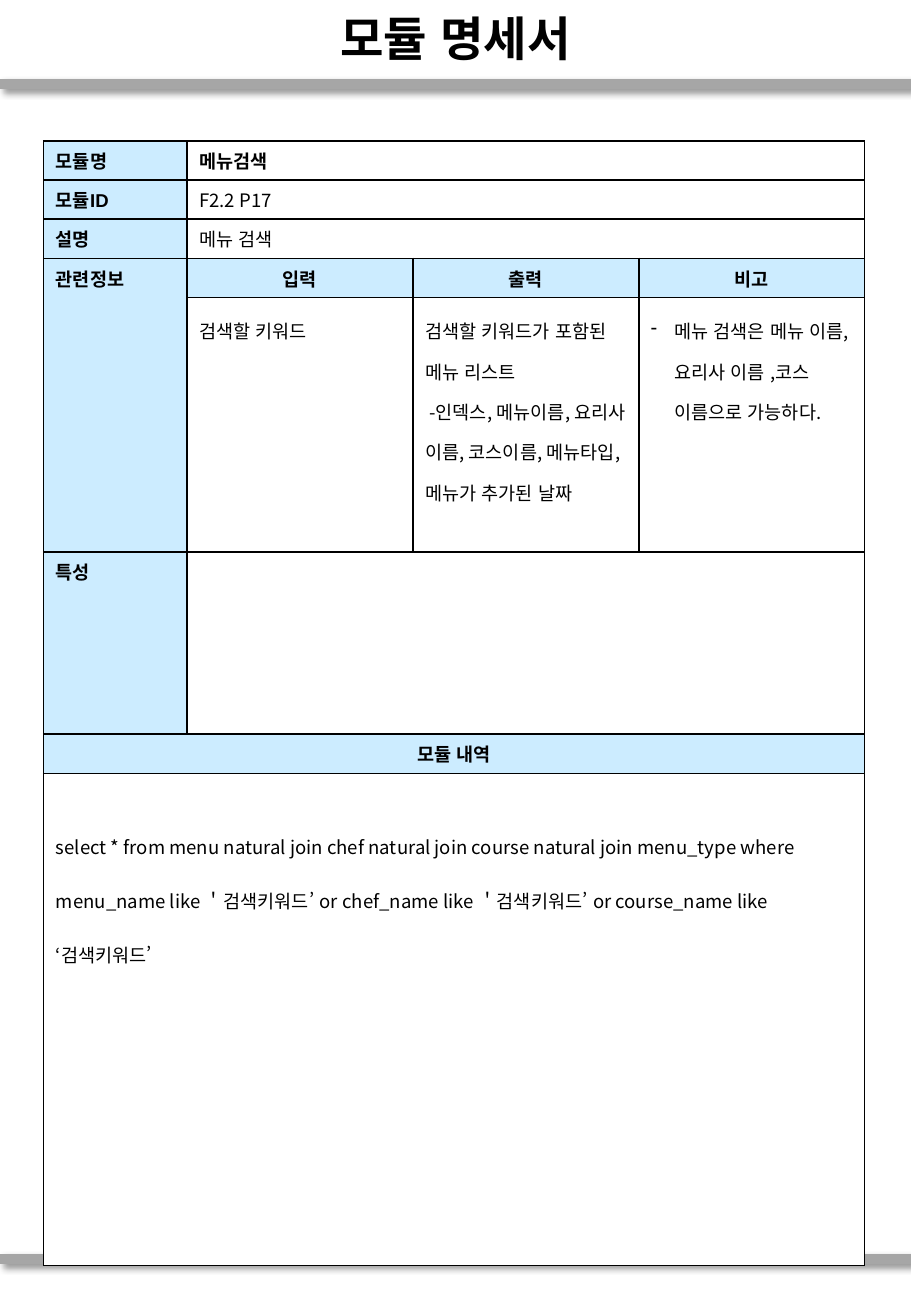
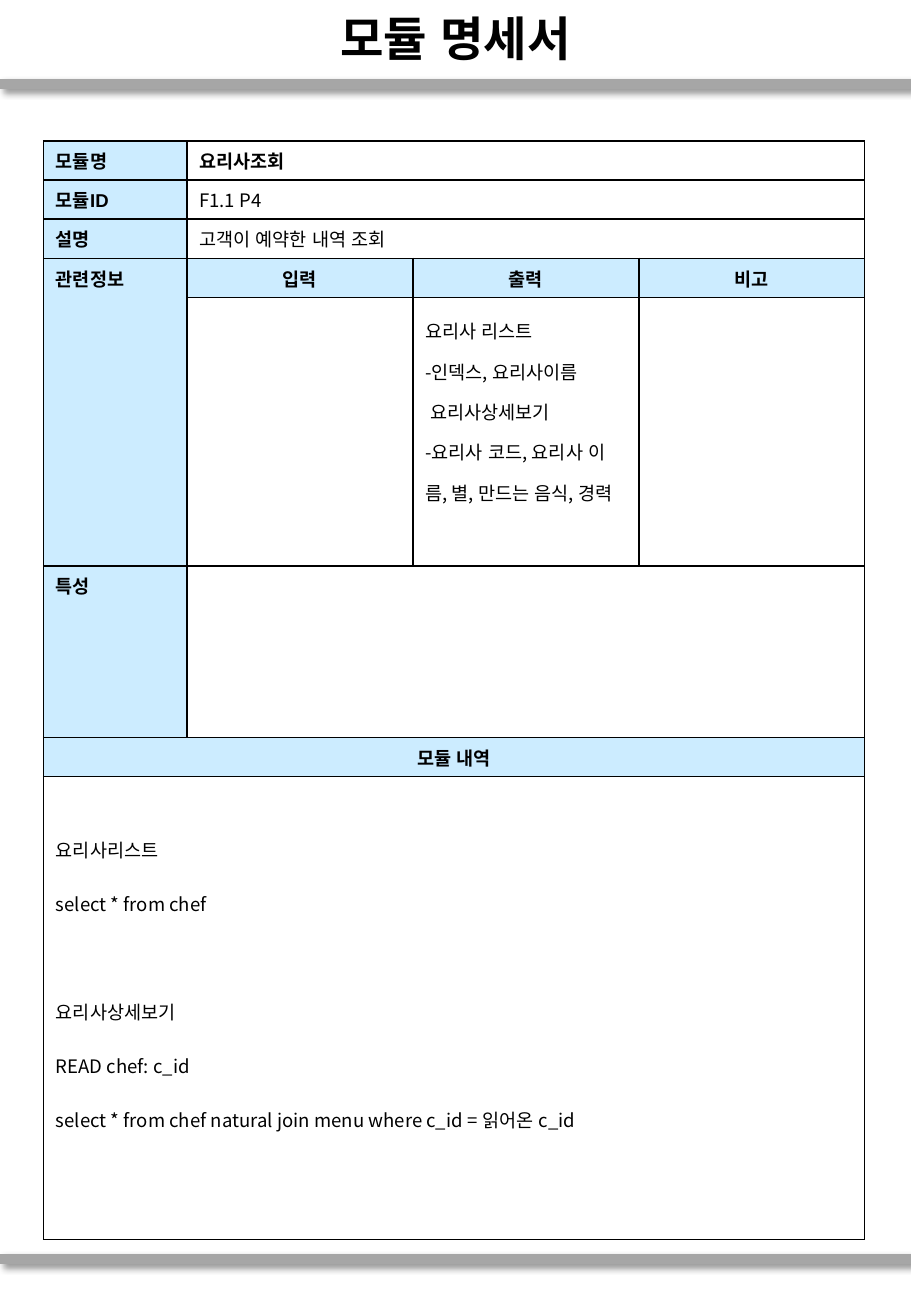
from dataclasses import dataclass

from lxml.etree import SubElement
from pptx import Presentation
from pptx.dml.color import RGBColor
from pptx.enum.lang import MSO_LANGUAGE_ID as Language
from pptx.enum.shapes import MSO_CONNECTOR as Connector
from pptx.enum.text import MSO_ANCHOR as Anchor, PP_ALIGN as Align
from pptx.oxml.ns import qn
from pptx.util import Inches, Pt

COLORS = {"band": "A6A6A6", "ink": "000000", "label": "CCECFF", "paper": "FFFFFF"}
KOREAN_FONT = "Noto Sans CJK KR"
LABEL_FONT = "Arial"
TITLE = "모듈 명세서"
PAGE_WIDTH, PAGE_HEIGHT = 7.5, 10.83
BAND_TOPS = (0.69, 10.36)
COLUMN_WIDTHS = (1.18, 1.86, 1.86, 1.86)
LABEL_HEIGHT = 0.32
BORDER_TAGS = ("a:lnL", "a:lnR", "a:lnT", "a:lnB")


@dataclass(frozen=True)
class Line:
    text: str
    bold: bool = False
    font: str = KOREAN_FONT
    align: Align = Align.LEFT
    spacing: float = 1.0
    space_before: float = 0
    dash: bool = False


@dataclass(frozen=True)
class CellSpec:
    row: int
    column: int
    lines: tuple[Line, ...] = ()
    fill: str = "paper"
    row_span: int = 1
    column_span: int = 1
    margin_top: float = 0.05


@dataclass(frozen=True)
class Module:
    name: str
    code: str
    summary: str
    inputs: tuple[Line, ...]
    outputs: tuple[Line, ...]
    remarks: tuple[Line, ...]
    details: tuple[Line, ...]
    info_height: float
    traits_height: float
    details_height: float


def info(text: str, dash: bool = False) -> Line:
    return Line(text, spacing=1.5, dash=dash)


def detail(text: str, space_before: float = 0) -> Line:
    return Line(text, spacing=2.0, space_before=space_before)


MODULES = (
    Module(
        "메뉴검색", "F2.2 P17", "메뉴 검색",
        (info("검색할 키워드"),),
        (
            info("검색할 키워드가 포함된 메뉴 리스트"),
            info(" -인덱스, 메뉴이름, 요리사 이름, 코스이름, 메뉴타입, 메뉴가 추가된 날짜"),
        ),
        (info("메뉴 검색은 메뉴 이름, 요리사 이름 ,코스 이름으로 가능하다.", dash=True),),
        (
            detail(
                "select * from menu natural join chef natural join course "
                "natural join menu_type where menu_name like ＇검색키워드’ "
                "or chef_name like ＇검색키워드’ or course_name like ‘검색키워드’"
            ),
        ),
        2.09, 1.5, 4.05,
    ),
    Module(
        "요리사조회", "F1.1 P4", "고객이 예약한 내역 조회",
        (),
        (
            info("요리사 리스트"),
            info("-인덱스, 요리사이름"),
            info(" 요리사상세보기"),
            info("-요리사 코드, 요리사 이름, 별, 만드는 음식, 경력"),
        ),
        (),
        (
            detail("요리사리스트"),
            detail("select * from chef"),
            detail("요리사상세보기", space_before=32),
            detail("READ chef: c_id"),
            detail("select * from chef natural join menu where c_id = 읽어온 c_id"),
        ),
        2.21, 1.41, 3.81,
    ),
)


def color(name: str) -> RGBColor:
    return RGBColor.from_string(COLORS[name])


def format_paragraph(para, line: Line, size: float) -> None:
    para.alignment = line.align
    para.line_spacing = line.spacing
    if line.space_before:
        para.space_before = Pt(line.space_before)
    properties = para._p.get_or_add_pPr()
    if line.dash:
        properties.set("marL", str(Inches(0.19)))
        properties.set("indent", str(-Inches(0.19)))
        SubElement(properties, qn("a:buChar"), char="-")
    font = para.font
    font.size = Pt(size)
    font.bold = line.bold
    font.language_id = Language.KOREAN
    font.color.rgb = color("ink")
    font.name = line.font
    SubElement(properties.find(qn("a:defRPr")), qn("a:ea"), typeface=KOREAN_FONT)


def write_lines(frame, lines: tuple[Line, ...], size: float = 11) -> None:
    for index, line in enumerate(lines):
        para = frame.add_paragraph() if index else frame.paragraphs[0]
        para.text = line.text
        format_paragraph(para, line, size)


def add_solid_fill(parent, name: str):
    fill = SubElement(parent, qn("a:solidFill"))
    return SubElement(fill, qn("a:srgbClr"), val=COLORS[name])


def add_borders(cell) -> None:
    properties = cell._tc.get_or_add_tcPr()
    for index, tag in enumerate(BORDER_TAGS):
        border = properties.makeelement(qn(tag), {"w": str(Pt(1))})
        add_solid_fill(border, "ink")
        properties.insert(index, border)


def add_master_band(deck, page, top: float, shape_id: int) -> None:
    band = page.shapes.add_connector(
        Connector.STRAIGHT, 0, Inches(top), Inches(PAGE_WIDTH), Inches(top)
    )
    band.line.color.rgb = color("band")
    band.line.width = Pt(6)
    effects = SubElement(band._element.spPr, qn("a:effectLst"))
    shadow = SubElement(
        effects, qn("a:outerShdw"), blurRad=str(Pt(4)), dist=str(Pt(3)),
        dir=str(45 * 60000), algn="tl", rotWithShape="0",
    )
    ink = SubElement(shadow, qn("a:srgbClr"), val=COLORS["ink"])
    SubElement(ink, qn("a:alpha"), val="40000")
    band._element.nvCxnSpPr.cNvPr.set("id", str(shape_id))
    deck.slide_master.shapes._spTree.append(band._element)


def add_title(page) -> None:
    title = page.shapes.title
    title.left, title.top = Inches(0), Inches(0.01)
    title.width, title.height = Inches(PAGE_WIDTH), Inches(0.6)
    title.text_frame.vertical_anchor = Anchor.MIDDLE
    write_lines(title.text_frame, (Line(TITLE, bold=True, align=Align.CENTER),), 28)


def label(row: int, text: str, row_span: int = 1) -> CellSpec:
    return CellSpec(row, 0, (Line(text, True, LABEL_FONT),), "label", row_span)


def heading(row: int, column: int, text: str, column_span: int = 1) -> CellSpec:
    line = Line(text, True, LABEL_FONT, Align.CENTER)
    return CellSpec(row, column, (line,), "label", column_span=column_span)


def value(row: int, *lines: Line) -> CellSpec:
    return CellSpec(row, 1, lines, column_span=3)


def module_cells(module: Module) -> list[CellSpec]:
    headings = enumerate(("입력", "출력", "비고"), 1)
    contents = enumerate((module.inputs, module.outputs, module.remarks), 1)
    return [
        label(0, "모듈명"),
        value(0, Line(module.name, bold=True)),
        label(1, "모듈ID"),
        value(1, Line(module.code)),
        label(2, "설명"),
        value(2, Line(module.summary)),
        label(3, "관련정보", row_span=2),
        *(heading(3, column, text) for column, text in headings),
        *(CellSpec(4, column, lines) for column, lines in contents),
        label(5, "특성"),
        value(5),
        heading(6, 0, "모듈 내역", column_span=4),
        CellSpec(7, 0, module.details, column_span=4, margin_top=0.27),
    ]


def add_module_table(page, module: Module) -> None:
    heights = [LABEL_HEIGHT] * 4 + [
        module.info_height, module.traits_height, LABEL_HEIGHT, module.details_height
    ]
    table = page.shapes.add_table(
        len(heights), len(COLUMN_WIDTHS), Inches(0.36), Inches(1.16),
        Inches(sum(COLUMN_WIDTHS)), Inches(sum(heights)),
    ).table
    table.first_row = table.horz_banding = False
    for column, width in zip(table.columns, COLUMN_WIDTHS):
        column.width = Inches(width)
    for row, height in zip(table.rows, heights):
        row.height = Inches(height)
    for cell in table.iter_cells():
        cell.fill.solid()
        cell.fill.fore_color.rgb = color("paper")
        add_borders(cell)
    for spec_cell in module_cells(module):
        cell = table.cell(spec_cell.row, spec_cell.column)
        if spec_cell.row_span * spec_cell.column_span > 1:
            cell.merge(table.cell(
                spec_cell.row + spec_cell.row_span - 1,
                spec_cell.column + spec_cell.column_span - 1,
            ))
        cell.fill.fore_color.rgb = color(spec_cell.fill)
        cell.margin_top = Inches(spec_cell.margin_top)
        write_lines(cell.text_frame, spec_cell.lines)


def main() -> None:
    deck = Presentation()
    deck.slide_width, deck.slide_height = Inches(PAGE_WIDTH), Inches(PAGE_HEIGHT)
    title_only = deck.slide_layouts[5]
    pages = [deck.slides.add_slide(title_only) for _ in MODULES]
    for shape_id, top in enumerate(BAND_TOPS, 101):
        add_master_band(deck, pages[0], top, shape_id)
    for page, module in zip(pages, MODULES):
        add_title(page)
        add_module_table(page, module)
    deck.save("out.pptx")


if __name__ == "__main__":
    main()
